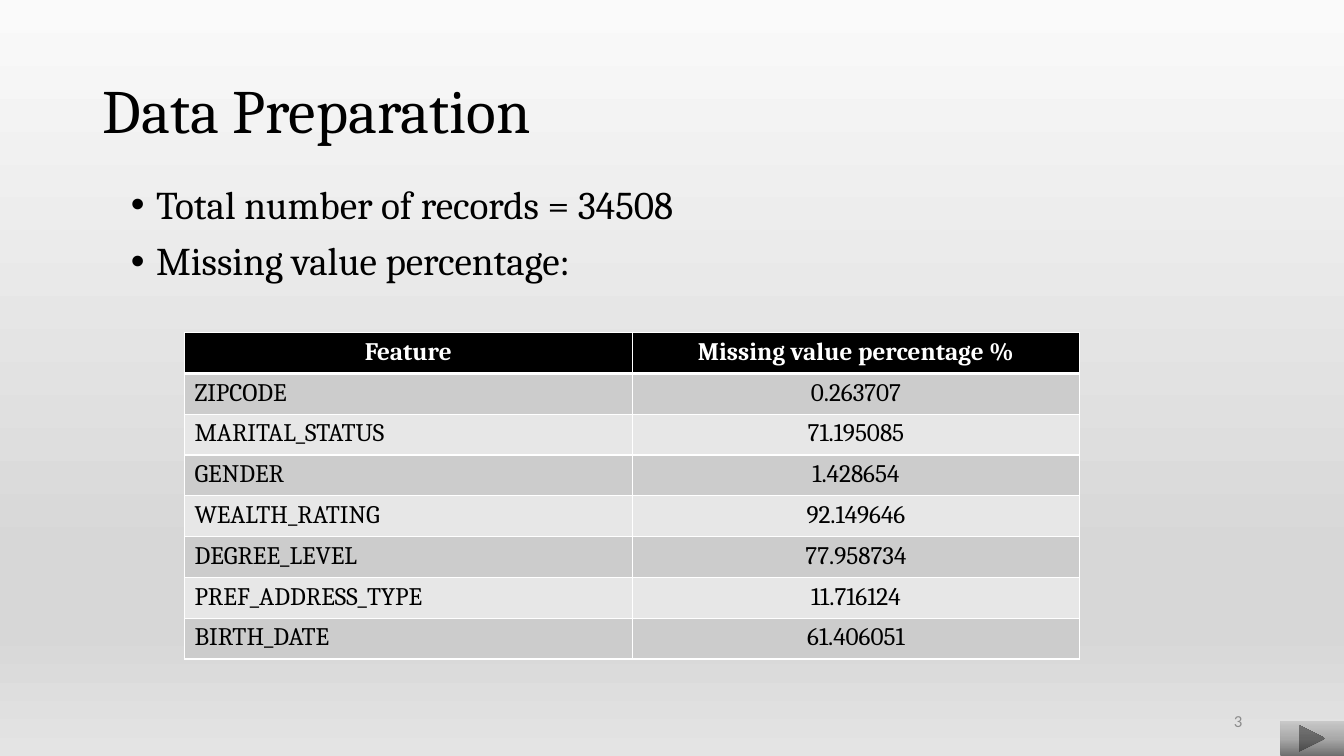
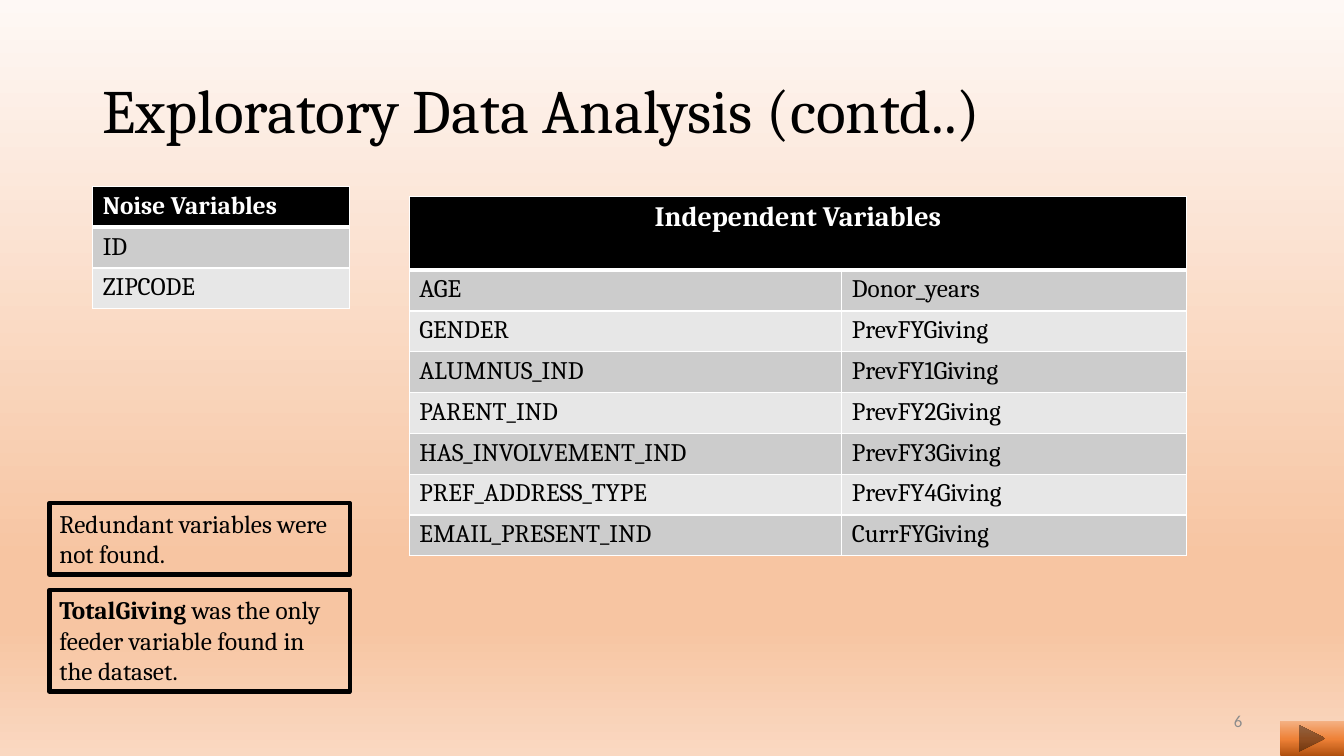
"""Build two data preparation slides with shared titles, tables and footers."""
import pptx
import pptx.dml.color
import pptx.enum.shapes
import pptx.enum.text
import pptx.oxml
import pptx.oxml.ns
import pptx.util
from lxml import etree

Inches, Pt = pptx.util.Inches, pptx.util.Pt
ALIGN = pptx.enum.text.PP_ALIGN
ANCHOR = pptx.enum.text.MSO_ANCHOR
FORWARD = pptx.enum.shapes.MSO_SHAPE.ACTION_BUTTON_FORWARD_OR_NEXT
qn = pptx.oxml.ns.qn

BLACK, WHITE, GREY = "000000", "FFFFFF", "8C8C8C"
BANDS = ("CCCCCC", "E7E7E7")
SERIF, SANS = "Cambria", "Calibri"
ROW_HEIGHT = 3.24 / 8
BACKGROUND_STOPS = (0, 74, 83, 100)
BUTTON_STOPS = (0, 48, 100)

SLIDES = [
    {
        "title": "Data Preparation",
        "number": "3",
        "background": ("FAFAFA", "D7D7D7", "D7D7D7", "E4E4E4"),
        "button": ("6F6F6F", "A8A8A8", "C9C9C9"),
        "bullets": ["Total number of records = 34508", "Missing value percentage:"],
        "tables": [
            {
                "at": (1.83, 3.3),
                "columns": (4.44, 4.44),
                "aligns": (ALIGN.LEFT, ALIGN.CENTER),
                "header": ["Feature", "Missing value percentage %"],
                "header_align": ALIGN.CENTER,
                "rows": [
                    ("ZIPCODE", "0.263707"),
                    ("MARITAL_STATUS", "71.195085"),
                    ("GENDER", "1.428654"),
                    ("WEALTH_RATING", "92.149646"),
                    ("DEGREE_LEVEL", "77.958734"),
                    ("PREF_ADDRESS_TYPE", "11.716124"),
                    ("BIRTH_DATE", "61.406051"),
                ],
            },
        ],
        "notes": [],
    },
    {
        "title": "Exploratory Data Analysis (contd..)",
        "number": "6",
        "background": ("FEF8F5", "F7C5A2", "F7C5A2", "FAD8C1"),
        "button": ("B0500F", "EE8137", "F4B183"),
        "bullets": [],
        "tables": [
            {
                "at": (0.92, 1.85),
                "columns": (2.55,),
                "aligns": (ALIGN.LEFT,),
                "header": ["Noise Variables"],
                "header_align": ALIGN.LEFT,
                "rows": [("ID",), ("ZIPCODE",)],
            },
            {
                "at": (4.06, 1.95),
                "columns": (4.29, 3.42),
                "aligns": (ALIGN.LEFT, ALIGN.LEFT),
                "header": ["Independent Variables"],
                "header_align": ALIGN.CENTER,
                "header_size": 20,
                "header_height": 0.73,
                "rows": [
                    ("AGE", "Donor_years"),
                    ("GENDER", "PrevFYGiving"),
                    ("ALUMNUS_IND", "PrevFY1Giving"),
                    ("PARENT_IND", "PrevFY2Giving"),
                    ("HAS_INVOLVEMENT_IND", "PrevFY3Giving"),
                    ("PREF_ADDRESS_TYPE", "PrevFY4Giving"),
                    ("EMAIL_PRESENT_IND", "CurrFYGiving"),
                ],
            },
        ],
        "notes": [
            ((0.49, 4.99, 2.98, 0.71), "", "Redundant variables were not found."),
            ((0.49, 5.85, 2.98, 1.01), "TotalGiving",
             " was the only feeder variable found in the dataset."),
        ],
    },
]


def color(value):
    return pptx.dml.color.RGBColor.from_string(value)


def style(para, size, shade=BLACK, bold=False, font=SERIF, align=ALIGN.LEFT):
    para.alignment = align
    for span in para.runs:
        span.font.size = Pt(size)
        span.font.name = font
        span.font.bold = bold
        span.font.color.rgb = color(shade)


def fill_gradient(owner, fill, positions, shades, angle):
    fill.gradient()
    fill.gradient_angle = angle
    stops = next(owner.element.iter(qn("a:gsLst")))
    for stop in list(stops):
        stops.remove(stop)
    for position, shade in zip(positions, shades):
        stop = etree.SubElement(stops, qn("a:gs"), pos=str(position * 1000))
        etree.SubElement(stop, qn("a:srgbClr"), val=shade)


def add_text(page, at, text, anchor=ANCHOR.TOP):
    box = page.shapes.add_textbox(*map(Inches, at))
    box.text_frame.word_wrap = True
    box.text_frame.vertical_anchor = anchor
    box.text_frame.text = text
    return box


def add_title(page, title):
    para = add_text(page, (0.92, 0.4, 11.5, 1.45), title, ANCHOR.MIDDLE).text_frame.paragraphs[0]
    para.line_spacing = 0.9
    style(para, 44)


def add_bullets(page, bullets):
    box = add_text(page, (1.2, 1.79, 11.5, 4.76), "\n".join(bullets))
    for para in box.text_frame.paragraphs:
        para.line_spacing = 0.9
        para.space_before = Pt(10)
        style(para, 28)
        properties = para._p.get_or_add_pPr()
        properties.set("marL", str(Inches(0.25)))
        properties.set("indent", str(Inches(-0.25)))
        etree.SubElement(properties, qn("a:buFont"), typeface="Arial")
        etree.SubElement(properties, qn("a:buChar"), char="•")


def add_footer(page, number, shades):
    box = add_text(page, (9.42, 6.95, 3, 0.4), number, ANCHOR.MIDDLE)
    style(box.text_frame.paragraphs[0], 12, GREY, font=SANS, align=ALIGN.RIGHT)
    button = page.shapes.add_shape(FORWARD, *map(Inches, (12.7, 7.15, 0.63, 0.35)))
    button.shadow.inherit = False
    button.line.fill.background()
    fill_gradient(button, button.fill, BUTTON_STOPS, shades, 90)


def add_note(page, at, lead, text):
    box = add_text(page, at, lead or text)
    box.line.color.rgb = color(BLACK)
    box.line.width = Pt(3)
    para = box.text_frame.paragraphs[0]
    if lead:
        para.add_run().text = text
    style(para, 18)
    para.runs[0].font.bold = bool(lead)


def set_borders(cell, top, bottom):
    properties = cell._tc.get_or_add_tcPr()
    widths = {"lnL": 1, "lnR": 1, "lnT": top, "lnB": bottom}
    for index, (side, width) in enumerate(widths.items()):
        line = etree.Element(qn("a:" + side), w=str(Pt(width)))
        solid = etree.SubElement(line, qn("a:solidFill"))
        etree.SubElement(solid, qn("a:srgbClr"), val=WHITE)
        properties.insert(index, line)


def add_table(page, data):
    columns, header = data["columns"], data["header"]
    heights = [data.get("header_height", ROW_HEIGHT)] + [ROW_HEIGHT] * len(data["rows"])
    size = (sum(columns), sum(heights))
    table = page.shapes.add_table(
        len(heights), len(columns), *map(Inches, data["at"] + size)).table
    for column, width in zip(table.columns, columns):
        column.width = Inches(width)
    for row, height in zip(table.rows, heights):
        row.height = Inches(height)
    for r, texts in enumerate([header] + data["rows"]):
        for c in range(len(columns)):
            cell = table.cell(r, c)
            cell.fill.solid()
            cell.fill.fore_color.rgb = color(BANDS[(r - 1) % 2] if r else BLACK)
            set_borders(cell, 3 if r == 1 else 1, 1 if r else 3)
            if c < len(texts):
                cell.text_frame.text = texts[c]
                para = cell.text_frame.paragraphs[0]
                if r:
                    style(para, 18, align=data["aligns"][c])
                else:
                    style(para, data.get("header_size", 18), WHITE, True,
                          align=data["header_align"])
    if len(header) < len(columns):
        table.cell(0, 0).merge(table.cell(0, len(columns) - 1))


def main():
    deck = pptx.Presentation()
    deck.slide_width, deck.slide_height = Inches(13.33), Inches(7.5)
    for content in SLIDES:
        page = deck.slides.add_slide(deck.slide_layouts[6])
        fill_gradient(page, page.background.fill, BACKGROUND_STOPS, content["background"], 270)
        add_title(page, content["title"])
        if content["bullets"]:
            add_bullets(page, content["bullets"])
        for data in content["tables"]:
            add_table(page, data)
        for note in content["notes"]:
            add_note(page, *note)
        add_footer(page, content["number"], content["button"])
    deck.save("out.pptx")


if __name__ == "__main__":
    main()
